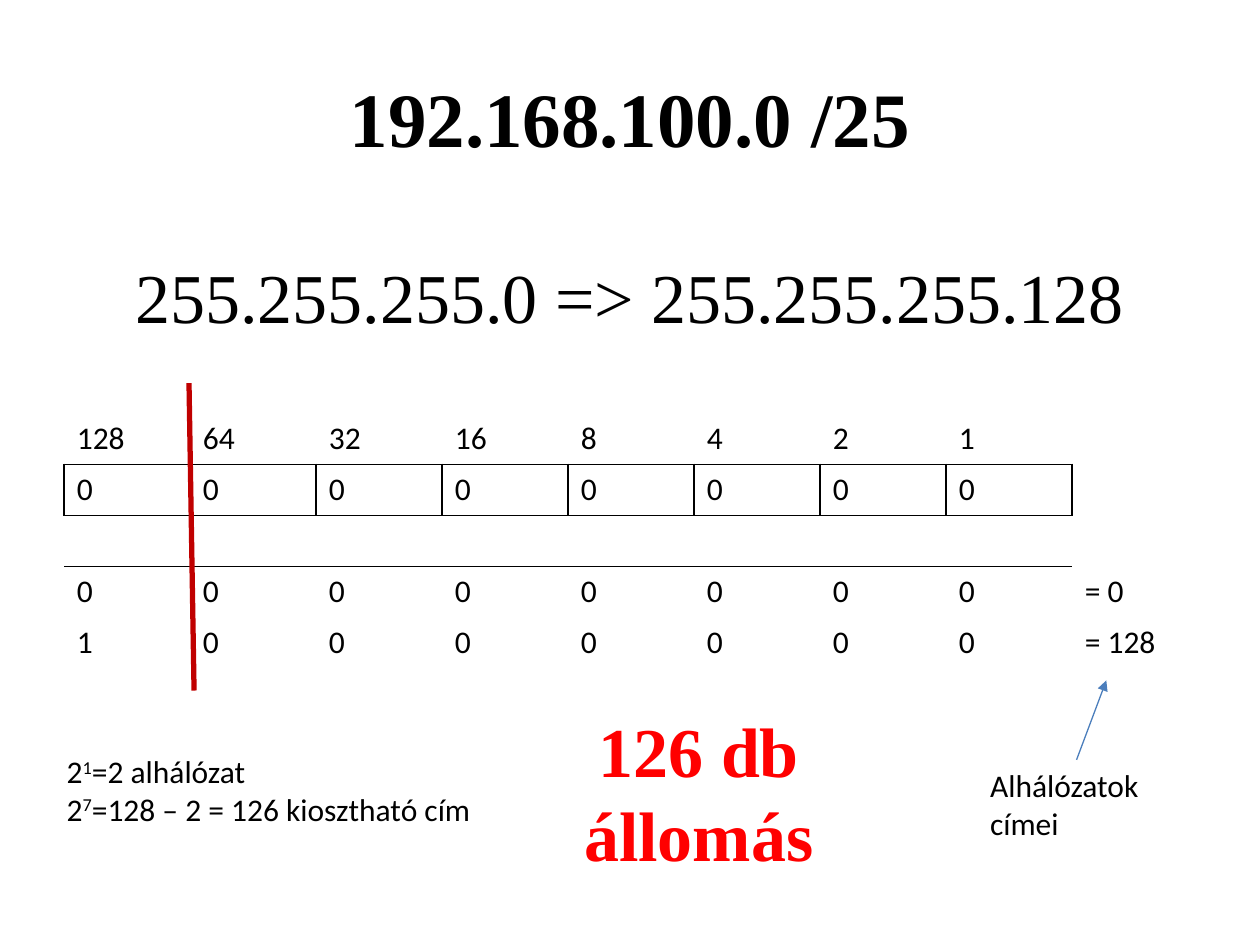
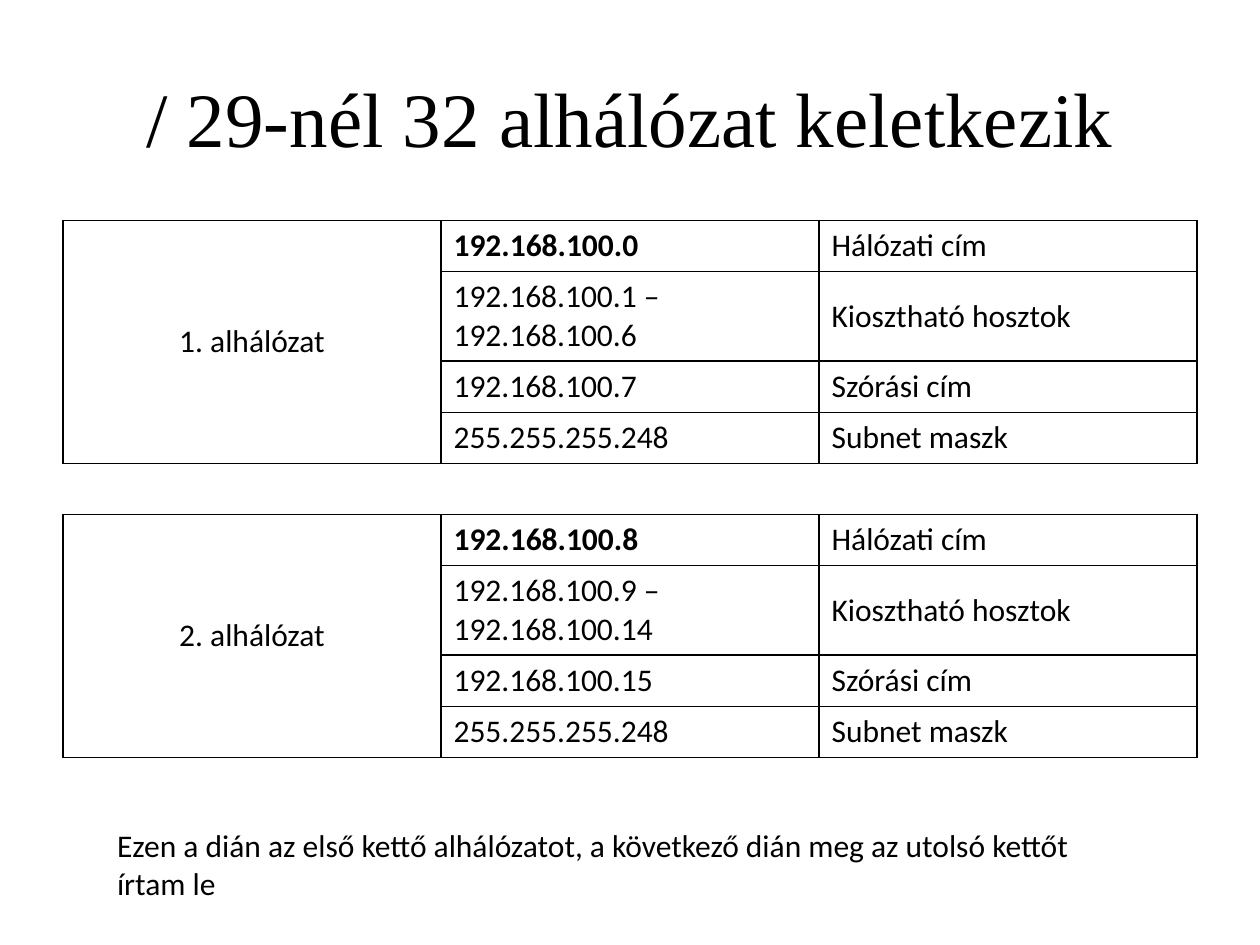
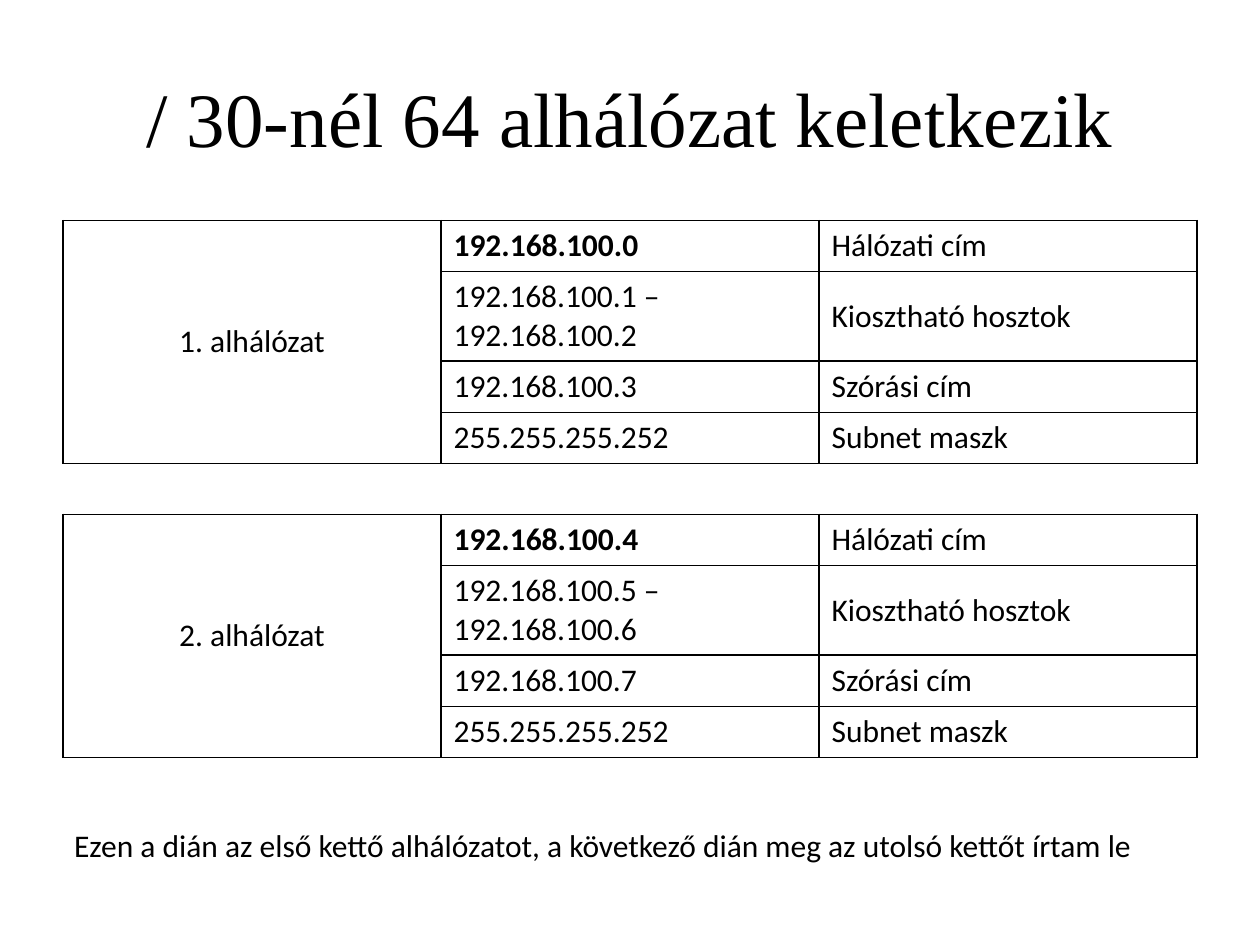
from lxml.etree import SubElement
from pptx import Presentation
from pptx.dml.color import RGBColor
from pptx.enum.shapes import MSO_CONNECTOR
from pptx.enum.text import MSO_ANCHOR as Anchor, MSO_AUTO_SIZE as AutoSize, PP_ALIGN as Align
from pptx.oxml.ns import qn
from pptx.util import Pt

BLACK = RGBColor(0x00, 0x00, 0x00)
RED = RGBColor(0xFF, 0x00, 0x00)
DARK_RED = RGBColor(0xC0, 0x00, 0x00)
BLUE = RGBColor(0x4B, 0x7E, 0xBC)
BODY = {"name": "Calibri", "size": Pt(18), "bold": False}
BOLD_BODY = {**BODY, "bold": True}
TITLE = {"name": "Times New Roman", "size": Pt(44), "bold": False}
HEADLINE = {**TITLE, "size": Pt(40)}
NO_STYLE_NO_GRID = "{2D5ABB26-0587-4C30-8999-92F81FD0307C}"
ROW_HEIGHT = 29.2
TALL_ROW_HEIGHT = 51.2
BITS = 8
NOTE = "Ezen a dián az első kettő alhálózatot, a következő dián meg az utolsó kettőt írtam le"


def format_font(font, style, color=BLACK):
    """Apply a dict of font values and a colour."""
    for attribute, value in style.items():
        setattr(font, attribute, value)
    font.color.rgb = color


def write_text(frame, lines, style, color=BLACK, align=Align.LEFT):
    """Write lines as paragraphs; a tuple line alternates normal and superscript runs."""
    for index, line in enumerate(lines):
        paragraph = frame.paragraphs[0] if index == 0 else frame.add_paragraph()
        paragraph.alignment = align
        for part, text in enumerate(line if isinstance(line, tuple) else (line,)):
            run = paragraph.add_run()
            run.text = text
            format_font(run.font, style, color)
            if part % 2:
                run._r.get_or_add_rPr().set("baseline", "30000")


def add_titled_slide(presentation, title, style=TITLE):
    """Add a title-only slide and fill its title."""
    slide = presentation.slides.add_slide(presentation.slide_layouts[5])
    shape = slide.shapes.title
    shape.left, shape.top, shape.width, shape.height = Pt(36), Pt(21.6), Pt(648), Pt(90)
    write_text(shape.text_frame, [title], style, align=Align.CENTER)
    return slide


def add_text(slide, box, lines, style=BODY, color=BLACK, align=Align.LEFT):
    """Add a wrapping text box."""
    shape = slide.shapes.add_textbox(*map(Pt, box))
    shape.text_frame.word_wrap = True
    shape.text_frame.auto_size = AutoSize.SHAPE_TO_FIT_TEXT
    write_text(shape.text_frame, lines, style, color, align)
    return shape


def add_line(slide, start, end, color, width, arrow=False):
    """Add a straight line without shadow, with an optional arrowhead at its end."""
    connector = slide.shapes.add_connector(MSO_CONNECTOR.STRAIGHT, *map(Pt, start + end))
    connector.line.color.rgb = color
    connector.line.width = Pt(width)
    if arrow:
        SubElement(connector.line._get_or_add_ln(), qn("a:tailEnd"), type="triangle")
    SubElement(connector._element.spPr, qn("a:effectLst"))
    return connector


def add_plain_table(slide, left, top, column_width, column_count, row_heights):
    """Add a table without style or banding."""
    width = column_width * column_count
    frame = slide.shapes.add_table(
        len(row_heights), column_count, Pt(left), Pt(top), Pt(width), Pt(sum(row_heights)))
    table = frame.table
    table.first_row = table.horz_banding = False
    table._tbl.tblPr.find(qn("a:tableStyleId")).text = NO_STYLE_NO_GRID
    for row, height in zip(table.rows, row_heights):
        row.height = Pt(height)
    return table


def fill_cell(cell, lines, borders="", style=BODY, align=Align.LEFT, anchor=Anchor.TOP):
    """Write a cell and draw the borders named by the letters L, R, T and B."""
    write_text(cell.text_frame, lines, style, align=align)
    cell.vertical_anchor = anchor
    properties = cell._tc.get_or_add_tcPr()
    for side in borders:
        line = SubElement(properties, qn(f"a:ln{side}"), w=str(Pt(1)))
        fill = SubElement(line, qn("a:solidFill"))
        SubElement(fill, qn("a:srgbClr"), val=str(BLACK))
    cell.fill.background()


def add_bit_table(slide):
    """Add the bit weights of the last octet and the two subnet addresses."""
    zeros = ["0"] * BITS
    rows = [
        ([str(2 ** bit) for bit in reversed(range(BITS))] + [""], "B", ""),
        (zeros + [""], "LRTB", "L"),
        ([""] * (BITS + 1), "TB", ""),
        (zeros + ["= 0"], "", ""),
        (["1"] + zeros[1:] + ["= 128"], "", ""),
    ]
    table = add_plain_table(slide, 36.72, 236.16, 72, BITS + 1, [ROW_HEIGHT] * len(rows))
    for row, (texts, bit_borders, result_borders) in enumerate(rows):
        for column, text in enumerate(texts):
            borders = bit_borders if column < BITS else result_borders
            fill_cell(table.cell(row, column), [text], borders)


def add_subnet_table(slide, size):
    """Add the first two subnets of the given size, parted by an empty row."""
    block = [ROW_HEIGHT, TALL_ROW_HEIGHT, ROW_HEIGHT, ROW_HEIGHT]
    table = add_plain_table(slide, 36, 126, 216, 3, block + [ROW_HEIGHT] + block)
    for column in range(3):
        fill_cell(table.cell(len(block), column), [""], "TB")
    for number in range(2):
        top = number * (len(block) + 1)
        first = number * size
        last = first + size - 1
        rows = [
            ([f"192.168.100.{first}"], "Hálózati cím", BOLD_BODY),
            ([f"192.168.100.{first + 1} –", f"192.168.100.{last - 1}"], "Kiosztható hosztok", BODY),
            ([f"192.168.100.{last}"], "Szórási cím", BODY),
            ([f"255.255.255.{256 - size}"], "Subnet maszk", BODY),
        ]
        for row, (addresses, meaning, style) in enumerate(rows, top):
            label = [f"{number + 1}. alhálózat"] if row == top else []
            fill_cell(table.cell(row, 0), label, "LRTB", align=Align.CENTER, anchor=Anchor.MIDDLE)
            fill_cell(table.cell(row, 1), addresses, "LRTB", style)
            fill_cell(table.cell(row, 2), [meaning], "LRTB", anchor=Anchor.MIDDLE)
        table.cell(top, 0).merge(table.cell(top + len(block) - 1, 0))


def add_mask_slide(presentation):
    """Add the slide that splits the network with a /25 mask."""
    slide = add_titled_slide(presentation, "192.168.100.0 /25", {**TITLE, "bold": True})
    add_bit_table(slide)
    add_line(slide, (108, 218.9), (110.9, 394.6), DARK_RED, 3)
    add_text(slide, (297.4, 401, 203.8, 104.4), ["126 db állomás"],
             {**HEADLINE, "bold": True}, RED, Align.CENTER)
    add_text(slide, (31, 141.1, 657.4, 55.4), ["255.255.255.0 => 255.255.255.128"],
             HEADLINE, align=Align.CENTER)
    caption = add_text(slide, (558.7, 434.2, 113, 51.1), ["Alhálózatok címei"])
    arrow = add_line(slide, (615.2, 434.2), (632.2, 388.8), BLUE, 0.75, arrow=True)
    arrow.begin_connect(caption, 0)
    add_text(slide, (31, 426.2, 311.8, 51.1), [
        ("2", "1", "=2 alhálózat"),
        ("2", "7", "=128 – 2 = 126 kiosztható cím"),
    ])


def add_subnet_slide(presentation, prefix, note_box):
    """Add the slide that lists subnets for a prefix length."""
    size = 2 ** (32 - prefix)
    slide = add_titled_slide(presentation, f"/ {prefix}-nél {256 // size} alhálózat keletkezik")
    add_subnet_table(slide, size)
    add_text(slide, note_box, [NOTE])


def main():
    """Build and save the presentation."""
    presentation = Presentation()
    presentation.slide_width, presentation.slide_height = Pt(720), Pt(540)
    add_mask_slide(presentation)
    add_subnet_slide(presentation, 29, (59.8, 468.7, 561.6, 51.1))
    add_subnet_slide(presentation, 30, (35.3, 468.7, 630.7, 28.8))
    presentation.save("out.pptx")


if __name__ == "__main__":
    main()
